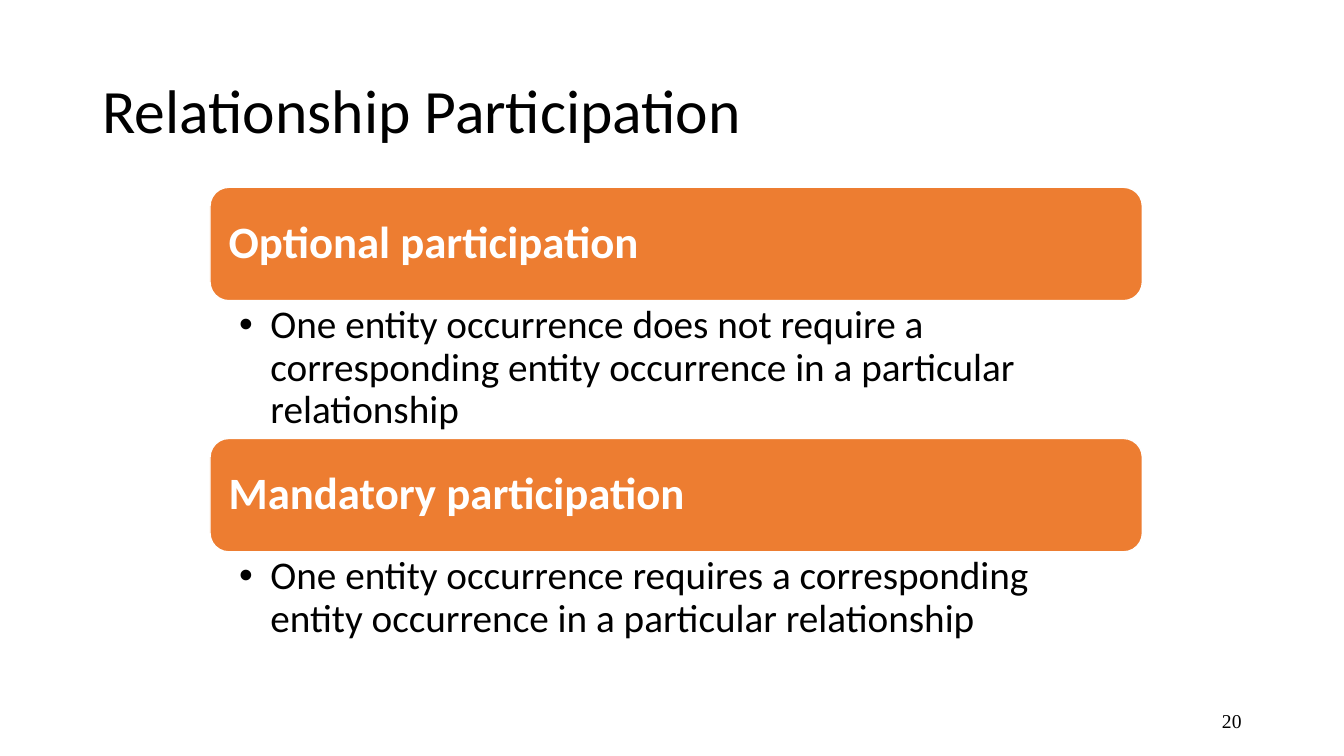
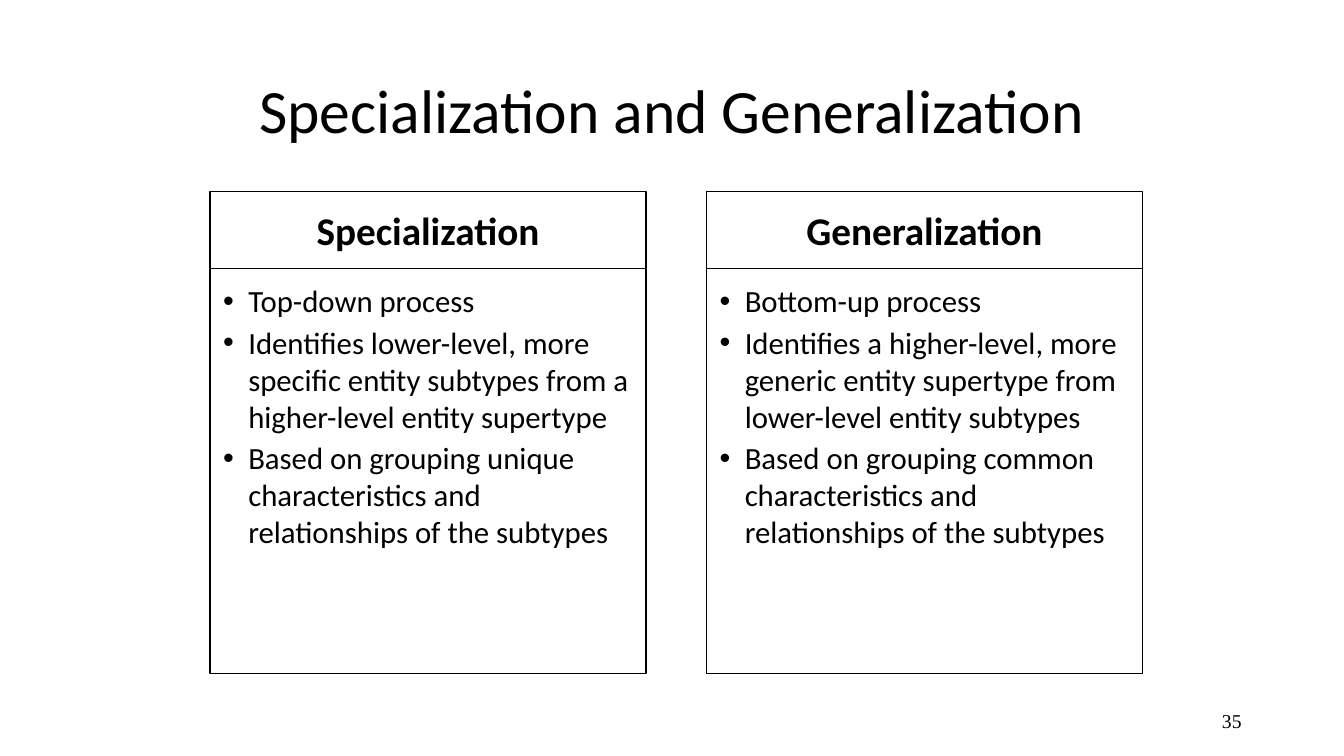
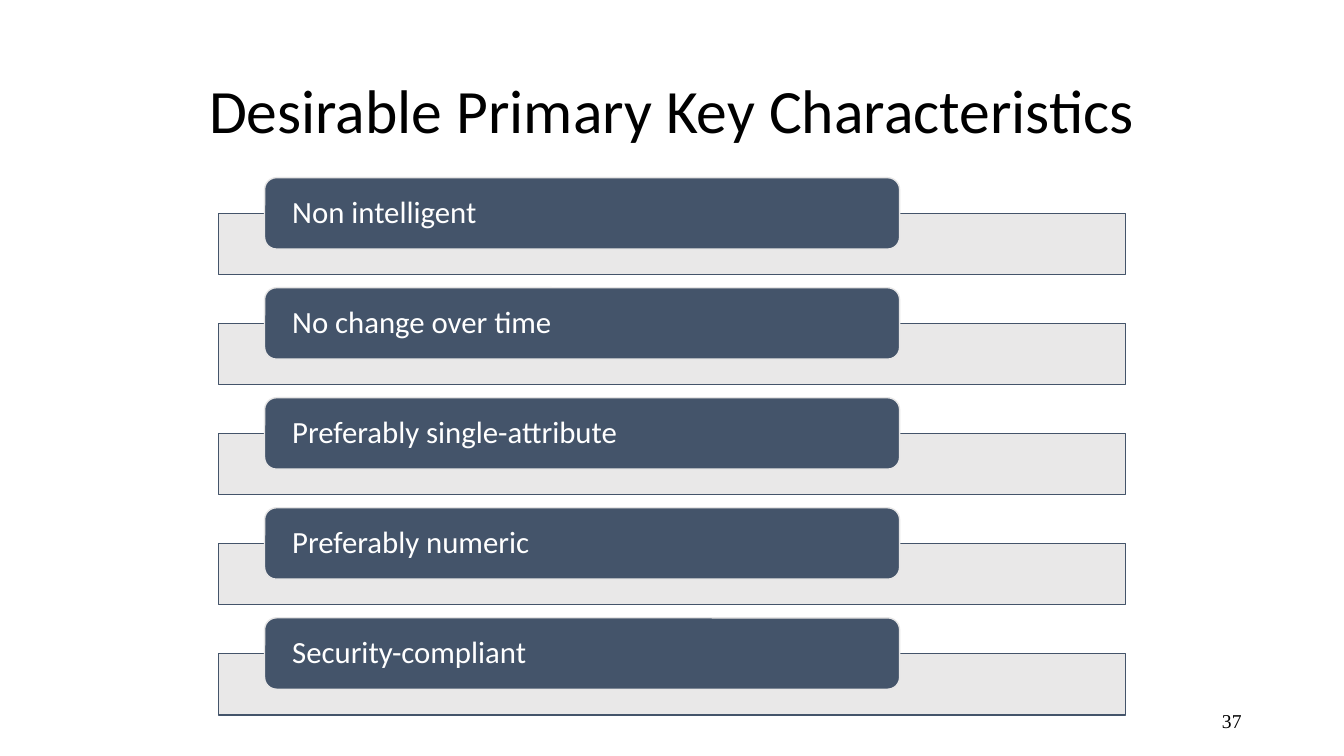
from pptx import Presentation
from pptx.dml.color import RGBColor
from pptx.enum.shapes import MSO_SHAPE
from pptx.enum.text import MSO_ANCHOR, MSO_AUTO_SIZE, PP_ALIGN
from pptx.oxml.ns import qn
from pptx.oxml.xmlchemy import OxmlElement
from pptx.util import Inches, Pt

RECT, ROUNDED = MSO_SHAPE.RECTANGLE, MSO_SHAPE.ROUNDED_RECTANGLE
LEFT, CENTER, RIGHT = PP_ALIGN.LEFT, PP_ALIGN.CENTER, PP_ALIGN.RIGHT
TOP, MIDDLE = MSO_ANCHOR.TOP, MSO_ANCHOR.MIDDLE
NO_FIT = MSO_AUTO_SIZE.NONE

COLORS = {"ink": "000000", "paper": "FFFFFF", "band": "ED7D31",
          "tag": "44546A", "bar": "E7E6E6"}
FONT, NUMBER_FONT = "Calibri", "Times New Roman"
COLUMNS, ROWS = 160, 90
TWO_CONTENT, TITLE_ONLY = 3, 5


class Deck:
    """Shared style, the grid and the slide being built."""

    def __init__(self):
        self.file = Presentation()
        self.file.slide_width, self.file.slide_height = Inches(13.33), Inches(7.5)
        self.slide = None

    def grid(self, column, row, columns, rows):
        across = self.file.slide_width / COLUMNS
        down = self.file.slide_height / ROWS
        return [round(n) for n in (column * across, row * down,
                                   columns * across, rows * down)]

    def place(self, shape, area):
        shape.left, shape.top, shape.width, shape.height = self.grid(*area)

    def color(self, name):
        return RGBColor.from_string(COLORS[name])

    def paint(self, shape, fill, line, opacity=100):
        shape.fill.solid()
        shape.fill.fore_color.rgb = self.color(fill)
        shape.line.color.rgb = self.color(line)
        shape.line.width = Pt(1)
        if opacity < 100:
            alpha = OxmlElement("a:alpha")
            alpha.set("val", str(opacity * 1000))
            shape._element.spPr.find(qn("a:solidFill"))[0].append(alpha)

    def set_text(self, shape, lines, size, color="ink", font=FONT, bold=False,
                 align=LEFT, anchor=MIDDLE, insets=(0.1, 0.05, 0.1, 0.05),
                 spacing=0.9, after=0, indent=None):
        frame = shape.text_frame
        frame.text = "\n".join(lines)
        frame.word_wrap, frame.auto_size = True, NO_FIT
        frame.vertical_anchor = anchor
        (frame.margin_left, frame.margin_top,
         frame.margin_right, frame.margin_bottom) = map(Inches, insets)
        for paragraph in frame.paragraphs:
            if indent:
                properties = paragraph._p.get_or_add_pPr()
                properties.set("marL", str(Inches(indent)))
                properties.set("indent", str(-Inches(indent)))
            paragraph.alignment, paragraph.line_spacing = align, spacing
            paragraph.space_before, paragraph.space_after = Pt(0), Pt(after)
            paragraph.font.name, paragraph.font.size = font, Pt(size)
            paragraph.font.bold = bold
            paragraph.font.color.rgb = self.color(color)

    def start(self, layout, title, number, align=CENTER):
        self.slide = self.file.slides.add_slide(self.file.slide_layouts[layout])
        heading = self.slide.shapes.title
        self.place(heading, (11, 4.8, 138, 17.4))
        self.set_text(heading, [title], 44, align=align)
        footer = self.slide.shapes.add_textbox(*self.grid(113, 83.4, 36, 4.8))
        self.set_text(footer, [str(number)], 14, font=NUMBER_FONT, align=RIGHT,
                      spacing=1)

    def box(self, kind, area, fill, line, opacity=100):
        shape = self.slide.shapes.add_shape(kind, *self.grid(*area))
        shape.shadow.inherit = False
        self.paint(shape, fill, line, opacity)
        return shape

    def bullets(self, index, area, lines, size, **style):
        body = self.slide.placeholders[index]
        self.place(body, area)
        self.set_text(body, lines, size, anchor=TOP, **style)
        return body


# Orange bands, each with its meaning below
def participation(deck):
    deck.start(TWO_CONTENT, "Relationship Participation", 20, LEFT)
    kinds = [
        ("Optional participation", 16.4,
         "One entity occurrence does not require a corresponding entity "
         "occurrence in a particular relationship"),
        ("Mandatory participation", 12,
         "One entity occurrence requires a corresponding entity occurrence "
         "in a particular relationship"),
    ]
    for i, (name, depth, meaning) in enumerate(kinds):
        top = 22.3 + 29.9 * i
        band = deck.box(ROUNDED, (25, top, 111, 13.5), "band", "paper")
        deck.set_text(band, [name], 32, "paper", bold=True, insets=[0.13] * 4)
        deck.bullets(i + 1, (25, top + 13.5, 111, depth), [meaning], 28,
                     insets=(0.29, 0.04, 0.22, 0.04), indent=0.31)


# Two outlined cards side by side
def comparison(deck):
    deck.start(TWO_CONTENT, "Specialization and Generalization", 35)
    processes = {
        "Specialization": [
            "Top-down process",
            "Identifies lower-level, more specific entity subtypes from a "
            "higher-level entity supertype",
            "Based on grouping unique characteristics and relationships of "
            "the subtypes"],
        "Generalization": [
            "Bottom-up process",
            "Identifies a higher-level, more generic entity supertype from "
            "lower-level entity subtypes",
            "Based on grouping common characteristics and relationships of "
            "the subtypes"],
    }
    width = 51.9
    for i, (name, traits) in enumerate(processes.items()):
        left = 25 + (111 - width) * i
        head = deck.box(RECT, (left, 22.8, width, 9.2), "paper", "ink")
        deck.set_text(head, [name], 28, bold=True, align=CENTER, spacing=1,
                      insets=(0.3, 0.17, 0.3, 0.17))
        card = deck.bullets(i + 1, (left, 32, width, 48.2), traits, 22,
                            insets=(0.13, 0.13, 0.1, 0.19), indent=0.25,
                            spacing=1, after=3.3)
        deck.paint(card, "paper", "ink", 90)


# Dark tags over pale bars
def key_characteristics(deck):
    deck.start(TITLE_ONLY, "Desirable Primary Key Characteristics", 37)
    traits = ["Non intelligent", "No change over time",
              "Preferably single-attribute", "Preferably numeric",
              "Security-compliant"]
    for i, trait in enumerate(traits):
        top = 21.15 + 13.1 * i
        deck.box(RECT, (26, top + 4.25, 108, 7.3), "bar", "tag", 90)
        tag = deck.box(ROUNDED, (31.5, top, 75.6, 8.5), "tag", "bar")
        deck.set_text(tag, [trait], 22, "paper", insets=(0.24, 0, 0.24, 0))


def main():
    deck = Deck()
    for build in (participation, comparison, key_characteristics):
        build(deck)
    deck.file.save("out.pptx")


if __name__ == "__main__":
    main()
